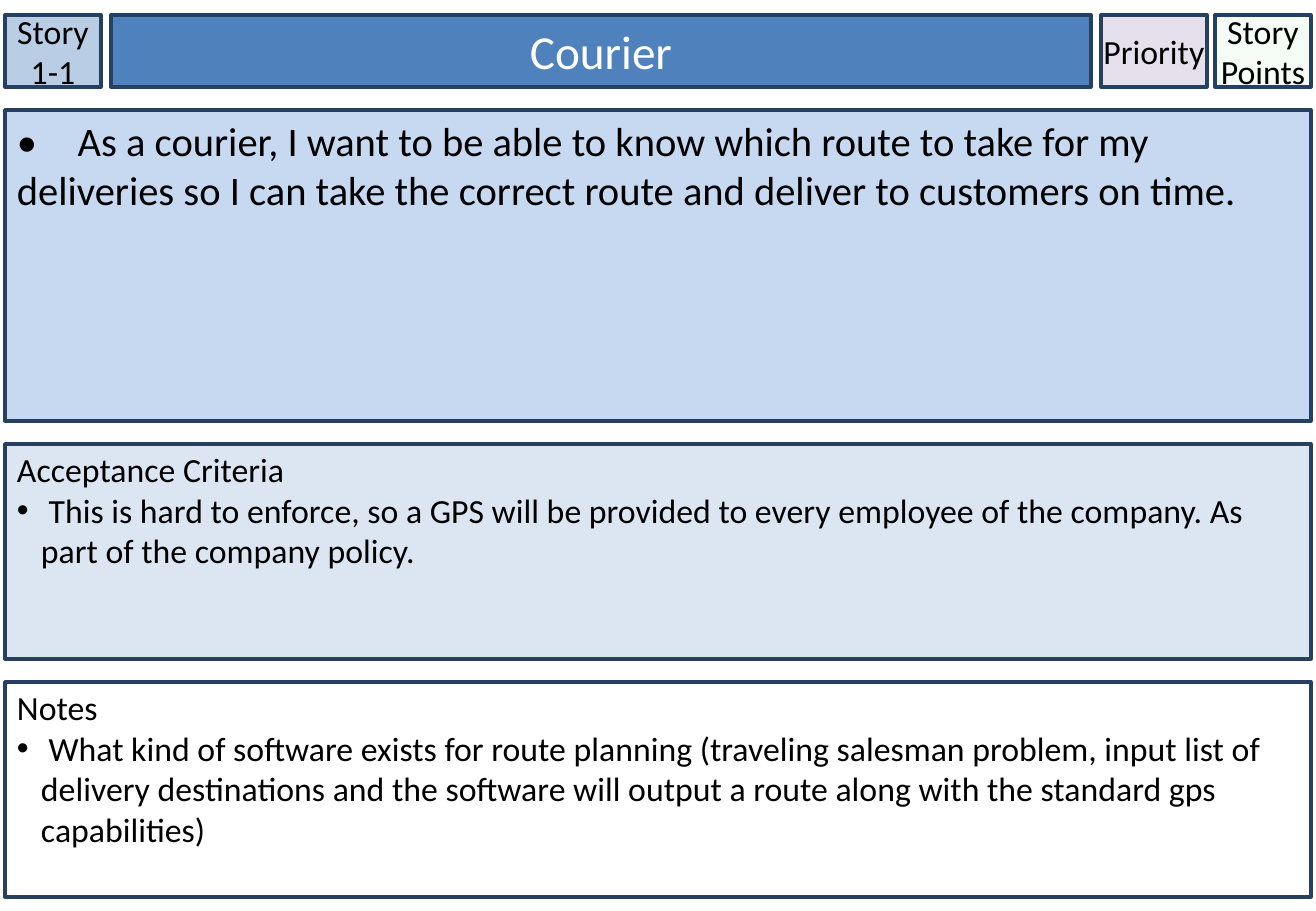
from dataclasses import dataclass

from lxml.etree import SubElement
from pptx import Presentation
from pptx.dml.color import RGBColor
from pptx.enum.text import MSO_ANCHOR as Anchor, MSO_AUTO_SIZE as AutoSize, PP_ALIGN as Align
from pptx.enum.shapes import MSO_SHAPE as Shape
from pptx.oxml.ns import qn
from pptx.util import Emu, Pt

SCALE = 914400 / 121.5


def px(length):
    return Emu(round(length * SCALE))


@dataclass(frozen=True)
class Theme:
    font: str = "Calibri"
    title_size: int = 28
    story_size: int = 24
    body_size: int = 20
    border_width: int = 2
    ink: str = "000000"
    white: str = "FFFFFF"
    border: str = "254061"
    story_id: str = "B9CDE5"
    title: str = "4F81BD"
    priority: str = "E6E0EC"
    points: str = "CCF0CD"
    story: str = "C6D9F1"
    criteria: str = "DCE6F2"


class StoryCard:
    def __init__(self, slide, theme):
        self.slide = slide
        self.theme = theme

    def style_box(self, box, fill, insets, anchor, opacity=None, wrap=True):
        box.fill.solid()
        box.fill.fore_color.rgb = RGBColor.from_string(fill)
        if opacity is not None:
            color = next(box._element.spPr.iter(qn("a:srgbClr")))
            SubElement(color, qn("a:alpha"), val=str(opacity * 1000))
        box.line.color.rgb = RGBColor.from_string(self.theme.border)
        box.line.width = Pt(self.theme.border_width)
        frame = box.text_frame
        frame.auto_size = AutoSize.NONE
        frame.word_wrap = wrap
        frame.vertical_anchor = anchor
        side, top, bottom = insets
        frame.margin_left = frame.margin_right = px(side)
        frame.margin_top, frame.margin_bottom = px(top), px(bottom)

    def add_text(self, paragraph, text, size, color, align=Align.LEFT):
        paragraph.alignment = align
        run = paragraph.add_run()
        run.text = text
        run.font.name = self.theme.font
        run.font.size = Pt(size)
        run.font.color.rgb = RGBColor.from_string(color)

    def box(self, left, top, width, height, fill, insets, anchor, **look):
        box = self.slide.shapes.add_shape(
            Shape.RECTANGLE, px(left), px(top), px(width), px(height))
        box.shadow.inherit = False
        self.style_box(box, fill, insets, anchor, **look)
        return box.text_frame

    def title(self, left, top, width, height, text):
        title = self.slide.shapes.title
        title.left, title.top = px(left), px(top)
        title.width, title.height = px(width), px(height)
        self.style_box(title, self.theme.title, (12, 6, 6), Anchor.MIDDLE)
        self.add_text(title.text_frame.paragraphs[0], text, self.theme.title_size,
                      self.theme.white, Align.CENTER)

    def tag(self, left, top, width, height, text, fill, **look):
        frame = self.box(left, top, width, height, fill, (0, 6, 6), Anchor.MIDDLE, **look)
        self.add_text(frame.paragraphs[0], text, self.theme.body_size,
                      self.theme.ink, Align.CENTER)

    def story(self, left, top, width, height, text):
        frame = self.box(left, top, width, height, self.theme.story, (12, 6, 6), Anchor.TOP)
        self.add_text(frame.paragraphs[0], text, self.theme.story_size, self.theme.ink)

    def section(self, left, top, width, height, heading, item, fill):
        frame = self.box(left, top, width, height, fill, (12, 5, 6), Anchor.TOP)
        self.add_text(frame.paragraphs[0], heading, self.theme.body_size, self.theme.ink)
        bullet = frame.add_paragraph()
        self.add_text(bullet, item, self.theme.body_size, self.theme.ink)
        hanging = px(24)
        properties = bullet._p.get_or_add_pPr()
        properties.set("marL", str(hanging))
        properties.set("indent", str(-hanging))
        SubElement(properties, qn("a:buFont"), typeface="Arial")
        SubElement(properties, qn("a:buChar"), char="•")


theme = Theme()
deck = Presentation()
deck.slide_width, deck.slide_height = px(1316), px(911)
title_only = deck.slide_layouts[5]
card = StoryCard(deck.slides.add_slide(title_only), theme)

# Header row
HEADER_TOP, HEADER_HEIGHT, TAG_WIDTH = 15, 72, 96
LEFT, WIDTH, GAP = 5, 1306, 23
card.tag(LEFT, HEADER_TOP, TAG_WIDTH, HEADER_HEIGHT, "Story 1-1", theme.story_id)
card.title(111, HEADER_TOP, 980, HEADER_HEIGHT, "Courier")
card.tag(1101, HEADER_TOP, 106, HEADER_HEIGHT, "Priority", theme.priority, wrap=False)
card.tag(LEFT + WIDTH - TAG_WIDTH, HEADER_TOP, TAG_WIDTH, HEADER_HEIGHT,
         "Story Points", theme.points, opacity=20)

# User story
STORY_HEIGHT, SECTION_HEIGHT = 311, 215
story_top = HEADER_TOP + HEADER_HEIGHT + GAP
card.story(LEFT, story_top, WIDTH, STORY_HEIGHT,
           "• \tAs a courier, I want to be able to know which route to take for my "
           "deliveries so I can take the correct route and deliver to customers on time.")

# Acceptance criteria and notes
sections = [
    ("Acceptance Criteria",
     " This is hard to enforce, so a GPS will be provided to every employee of the "
     "company. As part of the company policy.", theme.criteria),
    ("Notes",
     " What kind of software exists for route planning (traveling salesman problem, "
     "input list of delivery destinations and the software will output a route along "
     "with the standard gps capabilities)", theme.white),
]
section_top = story_top + STORY_HEIGHT + GAP
for row, (heading, item, fill) in enumerate(sections):
    card.section(LEFT, section_top + row * (SECTION_HEIGHT + GAP), WIDTH, SECTION_HEIGHT,
                 heading, item, fill)

deck.save("out.pptx")
